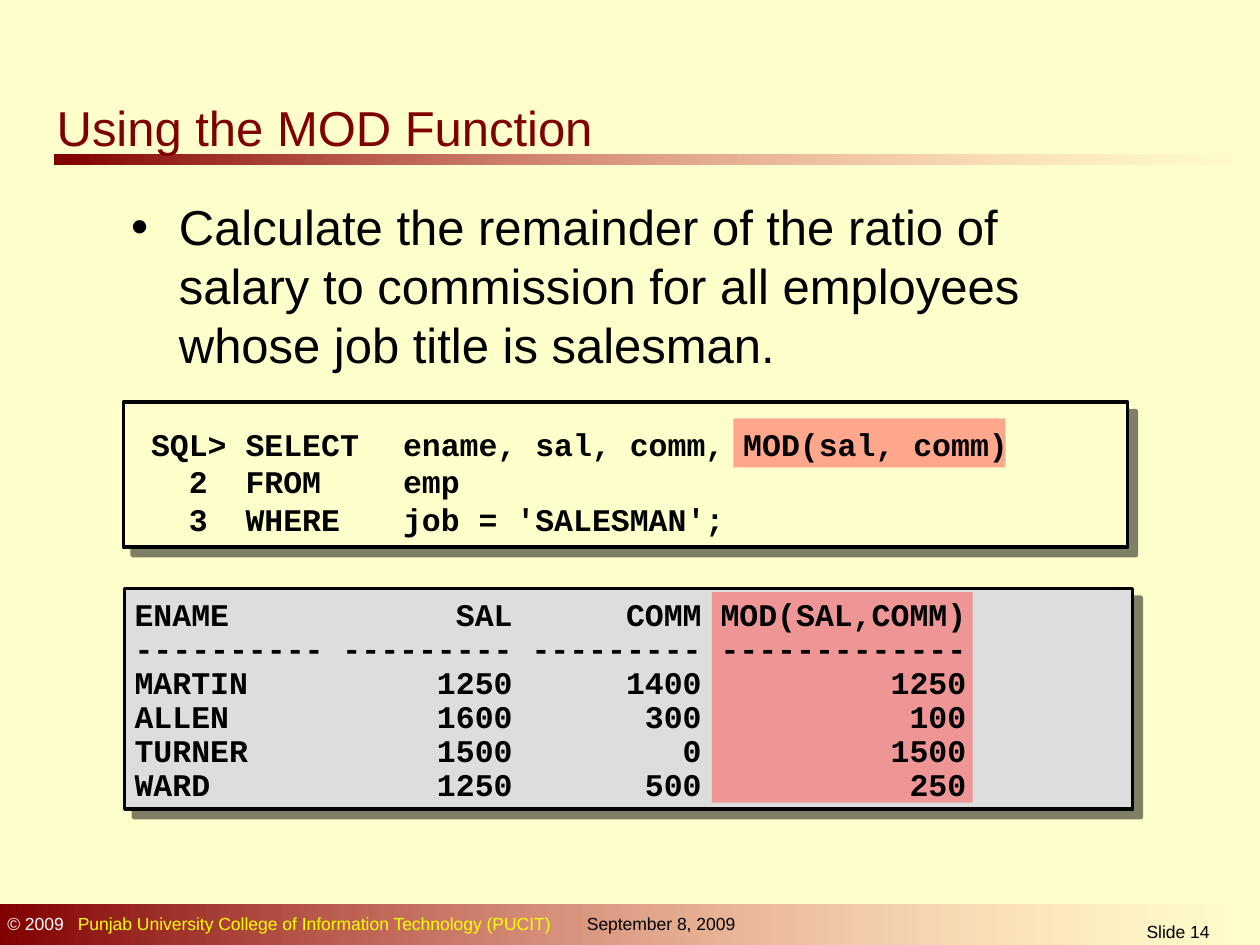
from typing import NamedTuple

from lxml import etree
from pptx import Presentation
from pptx.dml.color import RGBColor
from pptx.enum.shapes import MSO_SHAPE
from pptx.enum.text import MSO_ANCHOR, PP_ALIGN
from pptx.oxml.ns import qn
from pptx.util import Inches, Pt

RECT = MSO_SHAPE.RECTANGLE
TOP = MSO_ANCHOR.TOP
LEFT, MID = PP_ALIGN.LEFT, PP_ALIGN.CENTER

# The slide is a grid of 100 columns and 75 rows
WIDE, HIGH = Inches(10), Inches(7.5)
COL, ROW = WIDE / 100, HIGH / 75

CREAM, MAROON, ROSE = "FFFFCC", "800000", "FF8585"
BLACK, WHITE, YELLOW = "000000", "FFFFFF", "FFFF00"
GREY, RED = "DDDDDD", "FF5050"
SANS, MONO = "Arial", "Courier New"


class Box(NamedTuple):
    col: float
    row: float
    cols: float
    rows: float

    def place(self) -> tuple[int, int, int, int]:
        return (int(self.col * COL), int(self.row * ROW),
                int(self.cols * COL), int(self.rows * ROW))


class Style(NamedTuple):
    font: str
    size: float
    color: str = BLACK
    bold: bool = False
    pitch: float | None = None
    align: int = LEFT


class Panel(NamedTuple):
    box: Box
    fill: str


class Note(NamedTuple):
    box: Box
    text: str
    style: Style
    tab: float | None = None


def paint(target, color: str) -> None:
    target.rgb = RGBColor.from_string(color)


def add_sub(parent, tag: str, **attrs):
    return etree.SubElement(parent, qn(tag), attrs)


def fade(node, share: int) -> None:
    add_sub(node, "a:alpha", val=str(share * 1000))


def add_rect(slide, box: Box):
    shape = slide.shapes.add_shape(RECT, *box.place())
    shape.shadow.inherit = False
    shape.line.fill.background()
    return shape


def add_bar(slide, box: Box) -> None:
    """Band that fades out to the right, behind all else."""
    bar = add_rect(slide, box)
    bar.fill.gradient()
    bar.fill.gradient_angle = 0
    for stop, color in zip(bar.fill.gradient_stops, (MAROON, ROSE)):
        paint(stop.color, color)
    fade(list(bar._element.spPr.iter(qn("a:srgbClr")))[-1], 0)
    slide.shapes._spTree.insert(2, bar._element)


def add_panel(slide, panel: Panel) -> None:
    """Framed box with a hard shadow."""
    shape = add_rect(slide, panel.box)
    shape.fill.solid()
    paint(shape.fill.fore_color, panel.fill)
    shape.line.width = Pt(2)
    shape.line.fill.solid()
    paint(shape.line.color, BLACK)
    effects = shape._element.spPr.find(qn("a:effectLst"))
    cast = add_sub(effects, "a:outerShdw", blurRad="0", dist=str(Pt(7.1)),
                   dir=str(45 * 60000), algn="ctr", rotWithShape="0")
    fade(add_sub(cast, "a:srgbClr", val=BLACK), 50)


def add_mark(slide, box: Box) -> None:
    """Half-clear highlight."""
    mark = add_rect(slide, box)
    mark.fill.solid()
    paint(mark.fill.fore_color, RED)
    fade(next(mark._element.spPr.iter(qn("a:srgbClr"))), 50)


def style_text(frame, style: Style) -> None:
    frame.word_wrap = True
    frame.vertical_anchor = TOP
    for para in frame.paragraphs:
        para.alignment = style.align
        para.space_before = Pt(0)
        if style.pitch:
            para.line_spacing = Pt(style.pitch)
        for run in para.runs:
            run.font.name = style.font
            run.font.size = Pt(style.size)
            run.font.bold = style.bold
            paint(run.font.color, style.color)


def set_tab(para, cols: float) -> None:
    tabs = add_sub(para._p.get_or_add_pPr(), "a:tabLst")
    add_sub(tabs, "a:tab", pos=str(int(cols * COL)), algn="l")


def add_note(slide, note: Note):
    frame = slide.shapes.add_textbox(*note.box.place()).text_frame
    frame.text = note.text
    if note.tab:
        for para in frame.paragraphs:
            set_tab(para, note.tab)
    style_text(frame, note.style)
    return frame


def fill_holder(holder, note: Note):
    holder.left, holder.top, holder.width, holder.height = note.box.place()
    holder.text_frame.text = note.text
    style_text(holder.text_frame, note.style)
    return holder.text_frame.paragraphs[0]


# Content
HEAD = Style(SANS, 28, MAROON, pitch=33.7)
BODY = Style(SANS, 28, pitch=33.7)
CODE = Style(MONO, 18, bold=True, pitch=21.6)
LIST = Style(MONO, 18, bold=True, pitch=19.5)
FOOT = Style(SANS, 10)

TITLE = Note(Box(3.5, 7.2, 46.8, 5.1), "Using the MOD Function", HEAD)
POINT = Note(Box(9.4, 15.1, 80.8, 15),
             "Calculate the remainder of the ratio of salary to commission "
             "for all employees whose job title is salesman.", BODY)
QUERY = """SQL> SELECT\tename, sal, comm, MOD(sal, comm)
  2  FROM\temp
  3  WHERE\tjob = 'SALESMAN';"""
RESULT = [
    ("ENAME", "SAL", "COMM", "MOD(SAL,COMM)"),
    ("-" * 10, "-" * 9, "-" * 9, "-" * 13),
    ("MARTIN", 1250, 1400, 1250),
    ("ALLEN", 1600, 300, 100),
    ("TURNER", 1500, 0, 1500),
    ("WARD", 1250, 500, 250),
]
LINES = "\n".join(f"{name:<10} {sal:>9} {comm:>9} {mod:>13}"
                  for name, sal, comm, mod in RESULT)

BARS = [Box(4.3, 12.3, 95.7, 0.8), Box(0, 71.8, 100, 3.2)]
PANELS = [Panel(Box(9.9, 46.7, 80, 17.5), GREY),
          Panel(Box(9.8, 31.9, 79.7, 11.5), CREAM)]
MARKS = [Box(58.2, 33.2, 21.6, 3.9), Box(56.5, 47, 20.7, 16.7)]
NOTES = [
    Note(Box(11, 33.2, 78.2, 10.2), QUERY, CODE, 20),
    Note(Box(9.7, 47, 79.7, 17.3), LINES, LIST),
    Note(Box(45.6, 72, 15, 2.7), "September 8, 2009", FOOT),
    Note(Box(83.1, 72.6, 20.8, 2.4), "Slide 14", FOOT._replace(align=MID)),
]
OWNER = Note(Box(-0.4, 72, 46, 2.7),
             "© 2009\tPunjab University College of Information Technology "
             "(PUCIT)", FOOT._replace(color=YELLOW), 5.6)


def main() -> None:
    deck = Presentation()
    deck.slide_width, deck.slide_height = WIDE, HIGH
    slide = deck.slides.add_slide(deck.slide_layouts[1])
    slide.background.fill.solid()
    paint(slide.background.fill.fore_color, CREAM)

    # Title and bullet
    fill_holder(slide.shapes.title, TITLE)
    props = fill_holder(slide.placeholders[1], POINT)._p.get_or_add_pPr()
    props.set("marL", str(int(3.8 * COL)))
    props.set("indent", str(int(-3.8 * COL)))
    add_sub(props, "a:buChar", char="•")

    # Bands, panels and highlights
    for bar in BARS:
        add_bar(slide, bar)
    for panel in PANELS:
        add_panel(slide, panel)
    for mark in MARKS:
        add_mark(slide, mark)

    # Query, result and footer
    for note in NOTES:
        add_note(slide, note)
    para = add_note(slide, OWNER).paragraphs[0]
    year, name = para.runs[0].text.split("\t")
    para.runs[0].text = year
    paint(para.runs[0].font.color, WHITE)
    para.add_run().text = "\t" + name
    font = para.runs[1].font
    font.name, font.size = SANS, Pt(FOOT.size)
    paint(font.color, YELLOW)

    deck.save("out.pptx")


if __name__ == "__main__":
    main()
